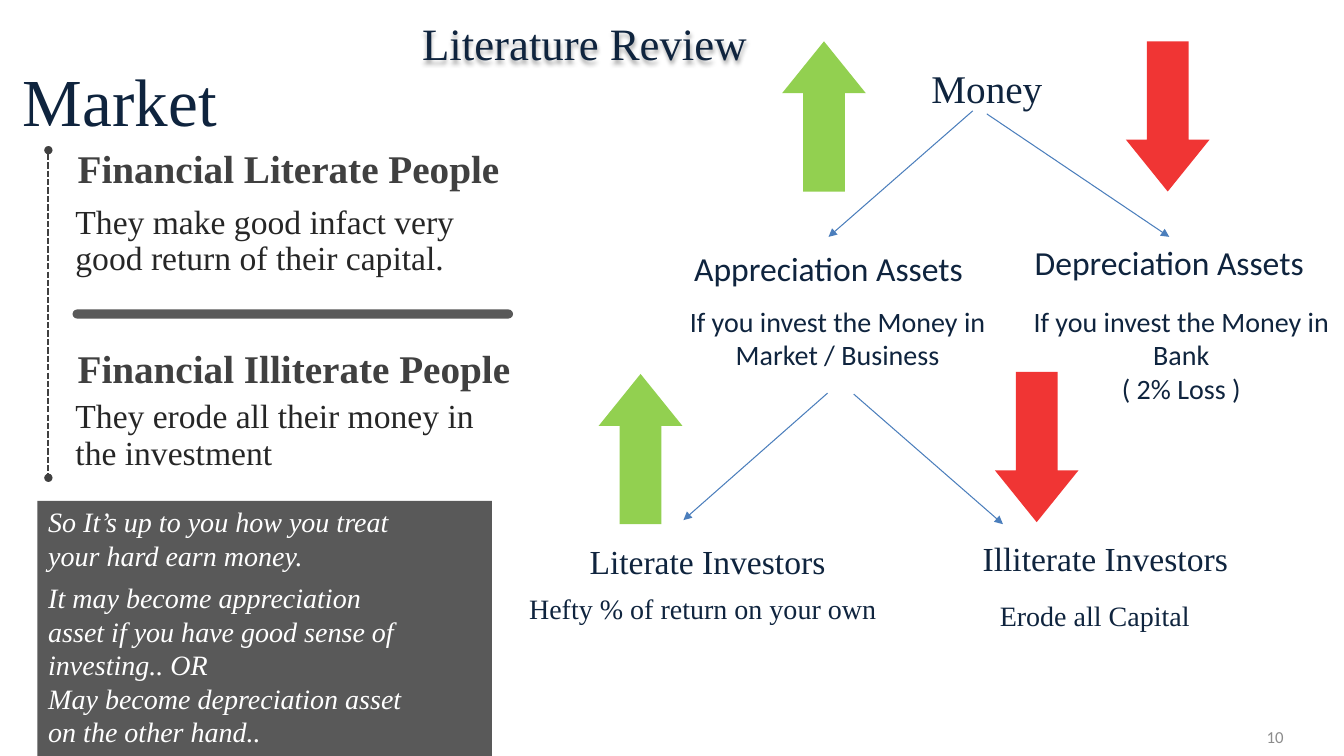
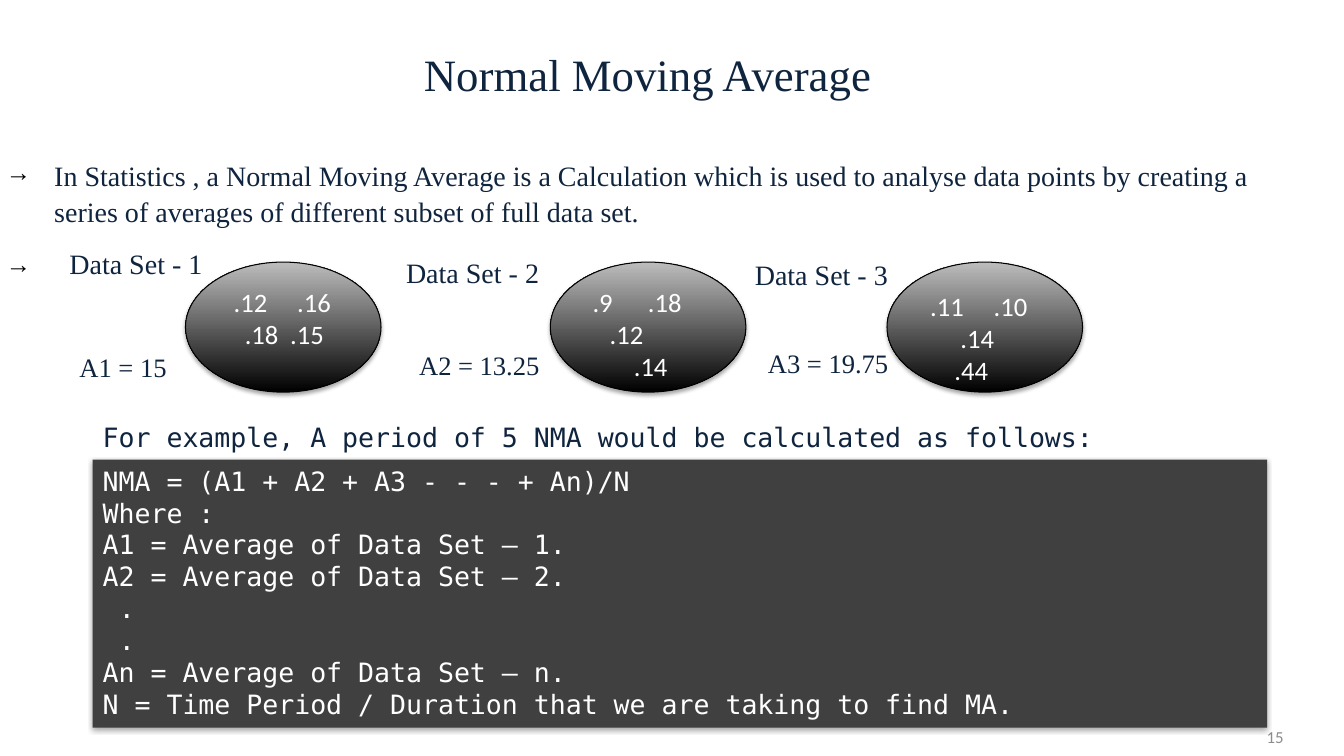
import pptx
import pptx.dml.color
import pptx.enum.dml
import pptx.enum.shapes
import pptx.enum.text
import pptx.oxml
import pptx.oxml.ns
import pptx.util

# Grid shared by every slide: 80 columns by 45 rows of square cells
COLUMNS, ROWS = 80, 45
CELL = pptx.util.Inches(7.5 / ROWS)

COLORS = {
    "navy": "0F243E", "heading": "404040", "body": "262626", "panel": "595959",
    "white": "FFFFFF", "black": "000000", "silver": "BDBDBD", "number": "8C8C8C",
    "branch": "4B7EBC", "gain": "92D050", "loss": "F03534",
}
SERIF, SANS, MONO, SYMBOL = "Times New Roman", "Calibri", "DejaVu Sans Mono", "Arial"

SHAPE = pptx.enum.shapes.MSO_SHAPE
ALIGN = pptx.enum.text.PP_ALIGN
ANCHOR = pptx.enum.text.MSO_ANCHOR
qn = pptx.oxml.ns.qn


def color(name):
    return pptx.dml.color.RGBColor.from_string(COLORS[name])


def grid(*cells):
    return [round(cell * CELL) for cell in cells]


# Text
def fill_text(frame, paragraphs, size, font=SERIF, ink="navy", bold=False, italic=False,
              align=ALIGN.LEFT, anchor=ANCHOR.TOP, leading=None, inset=0.1):
    frame.word_wrap = True
    frame.vertical_anchor = anchor
    frame.margin_left = frame.margin_right = pptx.util.Inches(inset)
    for index, words in enumerate(paragraphs):
        paragraph = frame.paragraphs[0] if index == 0 else frame.add_paragraph()
        paragraph.alignment = align
        if leading:
            paragraph.line_spacing = leading
        for row, line in enumerate(words.split("\n")):
            if row:
                paragraph.add_line_break()
            run = paragraph.add_run()
            run.text = line
            run.font.size = pptx.util.Pt(size)
            run.font.name = font
            run.font.bold = bold
            run.font.italic = italic
            run.font.color.rgb = color(ink)


def write(slide, cells, paragraphs, size, **style):
    box = slide.shapes.add_textbox(*grid(*cells))
    fill_text(box.text_frame, paragraphs, size, **style)
    return box


def set_tabs(paragraph, stops):
    properties = paragraph._p.get_or_add_pPr()
    tabs = properties.makeelement(qn("a:tabLst"), {})
    for stop in stops:
        tab = tabs.makeelement(qn("a:tab"), {
            "pos": str(pptx.util.Inches(stop)), "algn": "l"})
        tabs.append(tab)
    properties.append(tabs)


def write_title(slide, cells, words, **style):
    return write(slide, cells, [words], 32, **style)


def write_page_number(slide, number):
    write(slide, (58.33, 42.72, 18.67, 2.28), [number], 12, font=SANS, ink="number",
          align=ALIGN.RIGHT, anchor=ANCHOR.MIDDLE)


# Shapes and lines
def cast_shadow(shape):
    shape.shadow.inherit = False
    effects = shape._element.spPr.find(qn("a:effectLst"))
    effects.append(pptx.oxml.parse_xml(
        '<a:outerShdw xmlns:a="http://schemas.openxmlformats.org/drawingml/2006/main" '
        'blurRad="39370" dist="22860" dir="5400000" rotWithShape="0">'
        '<a:srgbClr val="000000"><a:alpha val="35000"/></a:srgbClr></a:outerShdw>'))


def draw(slide, kind, cells, fill, adjustments=()):
    shape = slide.shapes.add_shape(kind, *grid(*cells))
    shape.fill.solid()
    shape.fill.fore_color.rgb = color(fill)
    shape.line.fill.background()
    shape.shadow.inherit = False
    for index, value in enumerate(adjustments):
        shape.adjustments[index] = value
    return shape


def draw_trend(slide, column, row, rising):
    kind, fill = (SHAPE.UP_ARROW, "gain") if rising else (SHAPE.DOWN_ARROW, "loss")
    draw(slide, kind, (column, row, 4.98, 8.94), fill, (0.5, 0.62))


def connect(slide, start, end, ink, width, head=None, tail="triangle", dash=None):
    line = slide.shapes.add_connector(
        pptx.enum.shapes.MSO_CONNECTOR.STRAIGHT, *grid(*start, *end))
    line.line.color.rgb = color(ink)
    line.line.width = pptx.util.Pt(width)
    if dash:
        line.line.dash_style = dash
    properties = line._element.spPr
    outline = properties.find(qn("a:ln"))
    for tag, ending in (("a:headEnd", head), ("a:tailEnd", tail)):
        if ending:
            outline.append(outline.makeelement(qn(tag), {"type": ending}))
    properties.append(properties.makeelement(qn("a:effectLst"), {}))


def draw_data_set(slide, column):
    oval = draw(slide, SHAPE.OVAL, (column, 15.6, 11.64, 7.74), "black")
    oval.fill.gradient()
    oval.fill.gradient_angle = 90
    for stop, shade in zip(oval.fill.gradient_stops, ("black", "silver")):
        stop.color.rgb = color(shade)
    oval.line.color.rgb = color("black")
    oval.line.width = pptx.util.Pt(0.75)
    cast_shadow(oval)


def write_values(slide, column, row, lines):
    """Each line lists pairs of a value and its offset in inches."""
    words = ["".join(("\t" if offset else "") + value for value, offset in line)
             for line in lines]
    box = write(slide, (column, row, 7.86, 6.36), words, 19, font=SANS, ink="white")
    for paragraph, line in zip(box.text_frame.paragraphs, lines):
        set_tabs(paragraph, [offset for _, offset in line if offset])


# Slide: literature review
def build_review(slide):
    title = write_title(slide, (24.54, 0.66, 23.4, 3.84), "Literature Review")
    cast_shadow(title)
    write_page_number(slide, "10")

    # Market column
    draw(slide, SHAPE.RECTANGLE, (2.22, 29.82, 27.06, 15.18), "panel")
    write(slide, (0.78, 3.54, 42.36, 4.74), ["Market"], 48, anchor=ANCHOR.MIDDLE)
    connect(slide, (2.88, 8.94), (2.88, 28.44), "heading", 1.5, head="oval", tail="oval",
            dash=pptx.enum.dml.MSO_LINE.SQUARE_DOT)
    draw(slide, SHAPE.ROUNDED_RECTANGLE, (4.32, 18.42, 26.22, 0.54), "panel", (0.5,))
    people = (
        ("Financial Literate People", 8.28,
         "They make good infact very good return of their capital.", 12),
        ("Financial Illiterate People", 20.22,
         "They erode all their money in the investment", 23.58),
    )
    for heading, heading_row, outcome, outcome_row in people:
        write(slide, (3.9, heading_row, 28.14, 3.42), [heading], 28, ink="heading",
              bold=True, inset=0.12)
        write(slide, (3.9, outcome_row, 27.06, 4.74), [outcome], 24, ink="body",
              anchor=ANCHOR.MIDDLE, leading=0.9)
    advice = (
        (29.76, 4.74, ["So It’s up to you how you treat your hard earn money."]),
        (34.26, 10.74, [
            "It may become appreciation asset if you have good sense of investing.. OR",
            "May become depreciation asset on the other hand.."]),
    )
    for row, height, words in advice:
        write(slide, (2.28, row, 23.34, height), words, 20, ink="white", italic=True)

    # Money tree
    branches = (
        ((57.9, 6.6), (49.32, 14.1)), ((58.74, 6.78), (69.6, 14.1)),
        ((49.26, 23.4), (40.68, 30.96)), ((50.82, 23.46), (59.7, 31.2)),
    )
    for start, end in branches:
        connect(slide, start, end, "branch", 0.75)
    trends = ((46.56, 2.46, True), (35.64, 22.26, True),
              (67.02, 2.46, False), (59.22, 22.14, False))
    for trend in trends:
        draw_trend(slide, *trend)

    write(slide, (51.3, 3.54, 14.88, 3.42), ["Money"], 28, align=ALIGN.CENTER)
    assets = (
        ((38.94, 14.46, 20.76, 3), 24, ["Appreciation Assets"]),
        ((40.44, 17.82, 18.84, 4.62), 20, ["If you invest the Money in Market / Business"]),
        ((60.42, 14.1, 18.36, 3), 24, ["Depreciation Assets"]),
        ((60.9, 17.82, 18.84, 6.66), 20, ["If you invest the Money in Bank", "( 2% Loss )"]),
    )
    for cells, size, words in assets:
        write(slide, cells, words, size, font=SANS, align=ALIGN.CENTER)
    investors = (
        ((34.5, 31.92, 16, 3), 24, "Literate Investors"),
        ((30.9, 34.92, 23, 2.64), 20, "Hefty % of return on your own"),
        ((57.9, 31.74, 16.5, 3), 24, "Illiterate Investors"),
        ((58.92, 35.34, 13, 2.64), 20, "Erode all Capital"),
    )
    for cells, size, words in investors:
        write(slide, cells, [words], size)


# Slide: moving average
def build_average(slide):
    write_title(slide, (14.88, 2.28, 47.34, 3.84), "Normal Moving Average",
                align=ALIGN.CENTER, leading=1.07)
    write_page_number(slide, "15")

    # Definition with its arrow markers
    write(slide, (2.64, 9, 76.02, 4.8), [
        "In Statistics , a Normal Moving Average is a Calculation which is used to analyse "
        "data points by creating a series of averages of different subset of full data set."],
        20, leading=1.07)
    for row in (9, 14.46):
        write(slide, (0, row, 2.64, 2.4), ["→"], 18, font=SYMBOL, ink="black", inset=0.06)

    # Data sets: oval column, label, average, values
    data_sets = (
        (11.04, (3.54, 14.4), "Data Set - 1", (4.14, 20.58), "A1 = 15", (13.32, 16.74),
         [[(".12", 0), (".16", 0.63)], [(".18", 0.11), (".15", 0.56)]]),
        (32.76, (23.58, 14.94), "Data Set - 2", (24.36, 20.46), "A2 = 13.25", (34.68, 16.74),
         [[(".9", 0), (".18", 0.55)], [(".12", 0.17)], [(".14", 0.41)]]),
        (52.8, (44.34, 15.06), "Data Set - 3", (45.12, 20.34), "A3 = 19.75", (54.78, 16.98),
         [[(".11", 0), (".10", 0.63)], [(".14", 0.3)], [(".44", 0.24)]]),
    )
    for oval, label_at, label, average_at, average, values_at, values in data_sets:
        draw_data_set(slide, oval)
        write_values(slide, *values_at, values)
        write(slide, (*label_at, 10.44, 2.64), [label], 20)
        write(slide, (*average_at, 10.44, 2.52), [average], 19)

    # Formula
    formula = draw(slide, SHAPE.RECTANGLE, (5.52, 27.36, 69.9, 15.96), "heading")
    cast_shadow(formula)
    fill_text(formula.text_frame, [
        "NMA = (A1 + A2 + A3 - - - + An)/N",
        "Where :\nA1 = Average of Data Set – 1.\nA2 = Average of Data Set – 2.",
        ".",
        ".",
        "An = Average of Data Set – n.",
        "N = Time Period / Duration that we are taking to find MA."],
        19, font=MONO, ink="white")
    for dot in formula.text_frame.paragraphs[2:4]:
        dot._p.get_or_add_pPr().set("marL", str(pptx.util.Inches(0.16)))
    write(slide, (5.52, 24.78, 66.06, 2.58),
          ["For example, A period of 5 NMA would be calculated as follows:"], 19, font=MONO)


def main():
    deck = pptx.Presentation()
    deck.slide_width, deck.slide_height = grid(COLUMNS, ROWS)
    for build in (build_review, build_average):
        build(deck.slides.add_slide(deck.slide_layouts[6]))
    deck.save("out.pptx")


if __name__ == "__main__":
    main()
